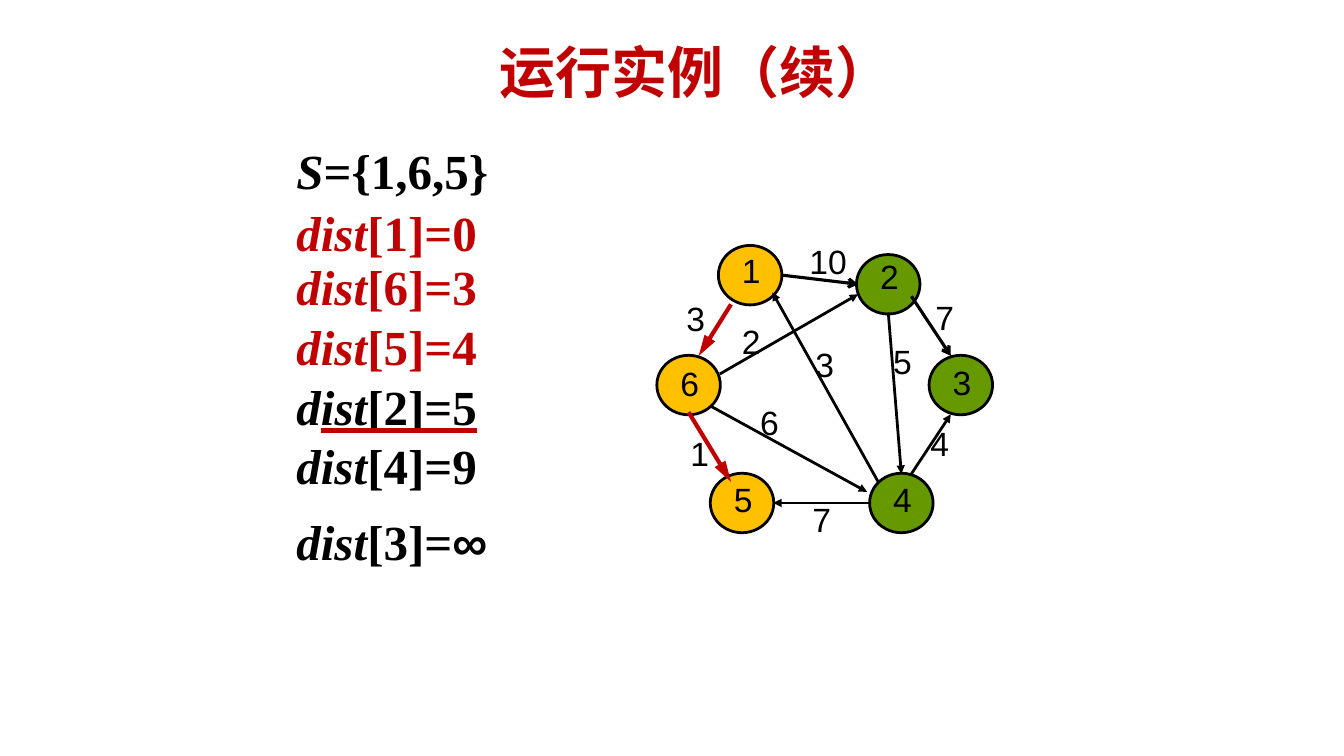
"""Build a slide with one step of a shortest-path run: distances and graph."""
from lxml.etree import SubElement as Sub
from pptx import Presentation
from pptx.dml.color import RGBColor as RGB
from pptx.enum.shapes import MSO_CONNECTOR as Link, MSO_SHAPE as Form
from pptx.enum.text import MSO_ANCHOR as Anchor, MSO_UNDERLINE as Under, PP_ALIGN as Align
from pptx.oxml.ns import qn
from pptx.util import Inches, Pt

CELL = Inches(0.01)
COLS, ROWS = 1333, 750
RED, BLACK, WHITE = RGB(192, 0, 0), RGB(0, 0, 0), RGB(255, 255, 255)
GOLD, GREEN = RGB(255, 192, 0), RGB(102, 153, 0)

TITLE = "运行实例（续）"
HEAD = {"name": "Noto Sans CJK SC", "size": Pt(40), "bold": True}
MATH = {"name": "Times New Roman", "size": Pt(35), "bold": True}
MARK = {"name": "Arial", "size": Pt(24)}

NODES = {
    "1": (744, 273, GOLD, -20), "2": (881, 282, GREEN, -23),
    "3": (953, 382, GREEN, -18), "4": (894, 499, GREEN, -19),
    "5": (736, 499, GOLD, -19), "6": (683, 382, GOLD, -17),
}
WIDE, HIGH = 63, 59

THIN = (BLACK, 1.98, "triangle", "med")
PATH = (RED, 3, "triangle", "lg")
OPEN = (BLACK, 2.25, "arrow", "med")
EDGES = [
    ((705, 403), (860, 488), THIN), ((725, 302), (693, 353), PATH),
    ((683, 409), (725, 478), PATH), ((862, 499), (767, 499), THIN),
    ((714, 371), (851, 292), THIN), ((904, 470), (943, 411), THIN),
    ((871, 478), (766, 290), THIN), ((881, 310), (894, 470), THIN),
    ((776, 273), (851, 282), OPEN), ((904, 294), (943, 353), OPEN),
]
COSTS = [
    ("3", 671, 301, 36), ("1", 675, 435, 36), ("7", 796, 500, 36),
    ("5", 876, 343, 66), ("7", 918, 300, 66), ("10", 793, 244, 66),
    ("3", 799, 346, 66), ("6", 744, 404, 66), ("4", 913, 425, 66),
    ("2", 726, 323, 66),
]

LEFT, TOP, SPAN = 291, 159, 274
SLANT, LINED = {"italic": True}, {"underline": Under.HEAVY_LINE}
TABLE = [
    (39, 0, [(28.4, 0, [("S", BLACK, SLANT), ("={1,6,5}", BLACK, {})])]),
    (74, 8, [(None, 0, [("dist", RED, SLANT), ("[1]=0", RED, {})])]),
    (251, 0, [
        (29.9, 0, [("dist", RED, SLANT), ("[6]=3", RED, {})]),
        (1.1, 0, [("dist", RED, SLANT), ("[5]=4 ", RED, {}),
                  ("d", BLACK, SLANT), ("ist", BLACK, {**SLANT, **LINED}),
                  ("[2]=5\t", BLACK, LINED),
                  ("dist", BLACK, SLANT), ("[4]=9", BLACK, {})]),
    ]),
    (61, 0, [(30.7, 0, [("dist", BLACK, SLANT), ("[3]=", BLACK, {}),
                        ("∞", BLACK, {"name": "Arial"})])]),
]
STOP = 214


def style(run, form, tint):
    for key, val in form.items():
        setattr(run.font, key, val)
    run.font.color.rgb = tint
    props = run._r.get_or_add_rPr()
    if "underline" in form:
        fill = Sub(Sub(props, qn("a:uFill")), qn("a:solidFill"))
        Sub(fill, qn("a:srgbClr"), val=str(RED))
        props.insert(1, props[-1])
    Sub(props, qn("a:ea"), typeface=form["name"])
    latin = props.find(qn("a:latin"))
    latin.addnext(props[-1])


def write(slide, text, spot, form, tint):
    frame = slide.shapes.add_textbox(*(n * CELL for n in spot)).text_frame
    frame.word_wrap = True
    para = frame.paragraphs[0]
    run = para.add_run()
    run.text = text
    style(run, form, tint)
    return frame, para


def mark(slide, text, left, top, wide):
    para = write(slide, text, (left, top, wide, 42), MARK, BLACK)[1]
    para.line_spacing = Pt(21.6)


def node(slide, x, y, tint):
    disc = slide.shapes.add_shape(
        Form.OVAL, round((x - WIDE / 2) * CELL), round((y - HIGH / 2) * CELL),
        WIDE * CELL, HIGH * CELL)
    disc.shadow.inherit = False
    disc.fill.solid()
    disc.fill.fore_color.rgb = tint
    disc.line.color.rgb = BLACK
    disc.line.width = Pt(1.98)


def edge(slide, start, end, look):
    tint, thick, tip, size = look
    line = slide.shapes.add_connector(
        Link.STRAIGHT, *(n * CELL for n in start + end))
    line.line.color.rgb = tint
    line.line.width = Pt(thick)
    Sub(line.line._get_or_add_ln(), qn("a:tailEnd"), type=tip, w="med", len=size)
    Sub(line._element.spPr, qn("a:effectLst"))


def fill(para, gap, runs):
    props = para._p.get_or_add_pPr()
    props.set("marL", str(3 * CELL))
    if any("\t" in text for text, _, _ in runs):
        tabs = Sub(props, qn("a:tabLst"))
        Sub(tabs, qn("a:tab"), pos=str(STOP * CELL), algn="l")
    if gap:
        para.line_spacing = Pt(gap) if gap > 5 else gap
    for text, tint, extra in runs:
        run = para.add_run()
        run.text = text
        style(run, {**MATH, **extra}, tint)


def table(slide):
    high = sum(row[0] for row in TABLE)
    grid = slide.shapes.add_table(
        len(TABLE), 1, LEFT * CELL, TOP * CELL, SPAN * CELL, high * CELL).table
    grid.first_row = grid.horz_banding = False
    for i, (tall, pad, paras) in enumerate(TABLE):
        grid.rows[i].height = tall * CELL
        cell = grid.cell(i, 0)
        cell.fill.background()
        for side in ("left", "right", "bottom"):
            setattr(cell, f"margin_{side}", 0)
        cell.margin_top = pad * CELL
        for side in ("L", "R", "T", "B"):
            rule = Sub(cell._tc.tcPr, qn(f"a:ln{side}"), w="0")
            Sub(rule, qn("a:noFill"))
        cell._tc.tcPr.append(cell._tc.tcPr.find(qn("a:noFill")))
        for j, (gap, _, runs) in enumerate(paras):
            frame = cell.text_frame
            fill(frame.add_paragraph() if j else frame.paragraphs[0], gap, runs)


def main():
    deck = Presentation()
    deck.slide_width, deck.slide_height = COLS * CELL, ROWS * CELL
    slide = deck.slides.add_slide(deck.slide_layouts[6])
    slide.background.fill.solid()
    slide.background.fill.fore_color.rgb = WHITE
    frame, para = write(slide, TITLE, (161, 35, 1057, 69), HEAD, RED)
    frame.vertical_anchor = Anchor.MIDDLE
    frame.margin_left = frame.margin_right = frame.margin_bottom = 0
    frame.margin_top = 2 * CELL
    para.alignment = Align.CENTER
    table(slide)
    for x, y, tint, _ in NODES.values():
        node(slide, x, y, tint)
    for item in EDGES:
        edge(slide, *item)
    for name, (x, y, _, rise) in NODES.items():
        mark(slide, name, x - 18, y + rise, 36)
    for item in COSTS:
        mark(slide, *item)
    deck.save("out.pptx")


if __name__ == "__main__":
    main()
